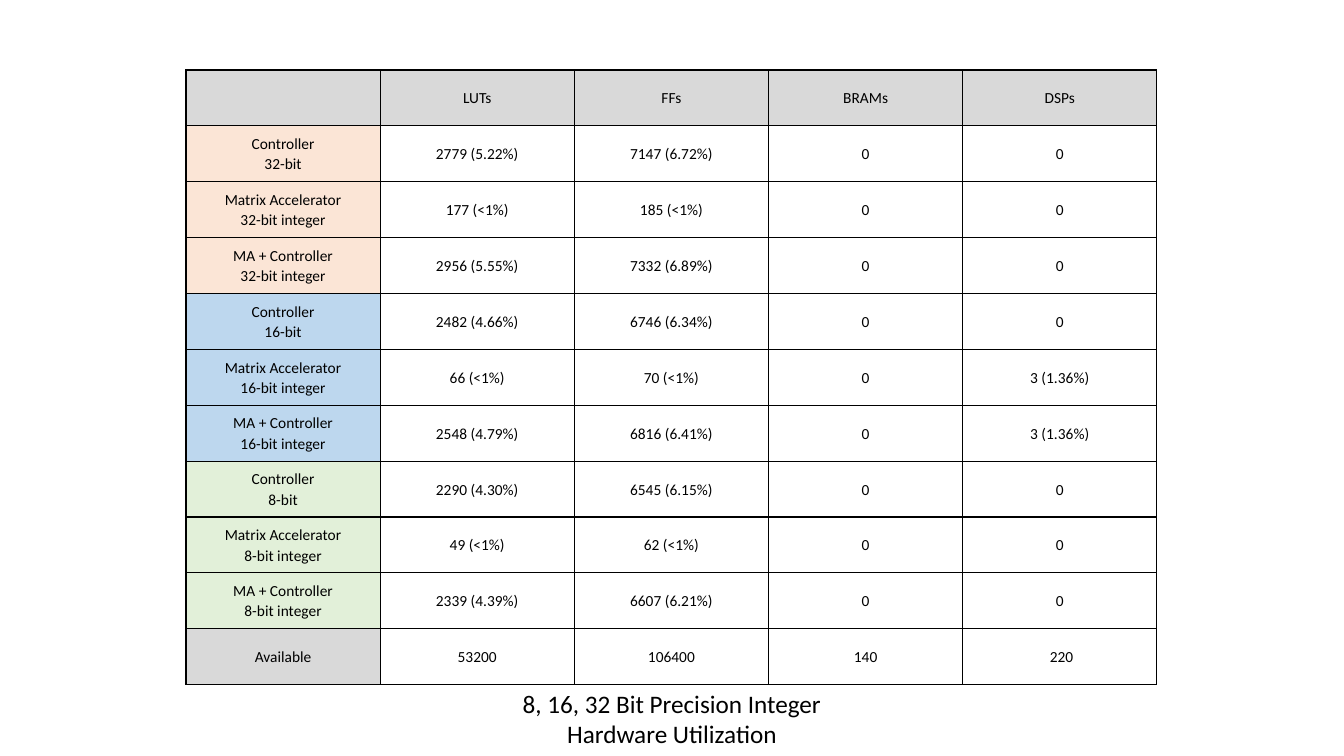
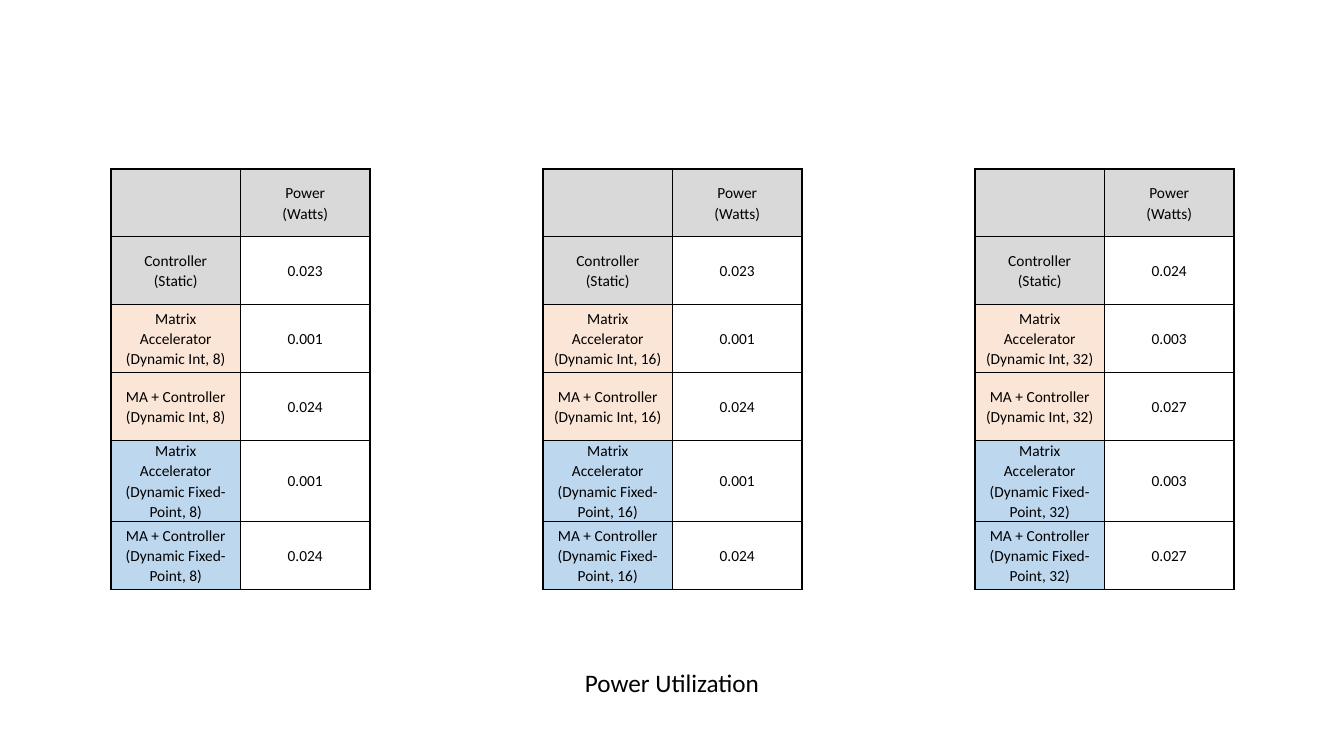
import pptx
import pptx.util
import pptx.dml.color
import pptx.enum.text
import pptx.oxml
import pptx.oxml.ns

PX = 12192000 / 1344
THEME = {
    "font": "Calibri", "ink": "000000", "white": "FFFFFF", "gray": "D9D9D9",
    "peach": "FBE5D6", "blue": "BDD7EE", "green": "E2F0D9",
    "cell_size": 11, "caption_size": 18, "cell_spacing": 1.07, "border": 1,
}


def write(tf, text, size, spacing):
    for i, line in enumerate(text.split("\n")):
        p = tf.paragraphs[0] if i == 0 else tf.add_paragraph()
        p.alignment = pptx.enum.text.PP_ALIGN.CENTER
        p.line_spacing = spacing
        r = p.add_run()
        r.text = line
        r.font.name = THEME["font"]
        r.font.size = pptx.util.Pt(size)
        r.font.color.rgb = pptx.dml.color.RGBColor.from_string(THEME["ink"])


def add_grid(s, box, header, rows):
    left, top, width, height = [round(v * PX) for v in box]
    table = s.shapes.add_table(len(rows) + 1, len(header), left, top, width, height).table
    table.first_row = False
    table.horz_banding = False
    for y, (color, *texts) in enumerate([("gray", *header), *rows]):
        for x, text in enumerate(texts):
            cell = table.cell(y, x)
            cell.vertical_anchor = pptx.enum.text.MSO_ANCHOR.MIDDLE
            cell.margin_left = cell.margin_right = round(7 * PX)
            cell.margin_top = cell.margin_bottom = 0
            for side in "LRTB":
                cell._tc.get_or_add_tcPr().append(pptx.oxml.parse_xml(
                    f'<a:ln{side} {pptx.oxml.ns.nsdecls("a")} w="{pptx.util.Pt(THEME["border"])}">'
                    f'<a:solidFill><a:srgbClr val="{THEME["ink"]}"/></a:solidFill></a:ln{side}>'))
            cell.fill.solid()
            fill = THEME[color if x == 0 or y == 0 else "white"]
            cell.fill.fore_color.rgb = pptx.dml.color.RGBColor.from_string(fill)
            if text:
                write(cell.text_frame, text, THEME["cell_size"], THEME["cell_spacing"])


prs = pptx.Presentation()
prs.slide_width = round(1344 * PX)
prs.slide_height = round(756 * PX)

captions = [
    ("8, 16, 32 Bit Precision Integer\nHardware Utilization", (501, 683, 342, 72)),
    ("Power Utilization", (518, 662, 308, 40)),
]
for caption, box in captions:
    s = prs.slides.add_slide(prs.slide_layouts[5])
    sp = s.shapes.title
    sp.left, sp.top, sp.width, sp.height = [round(v * PX) for v in box]
    tf = sp.text_frame
    tf.word_wrap = True
    tf.auto_size = pptx.enum.text.MSO_AUTO_SIZE.NONE
    tf.vertical_anchor = pptx.enum.text.MSO_ANCHOR.TOP
    write(tf, caption, THEME["caption_size"], 1.0)

hardware, power = prs.slides

usage = [
    ("peach", 32, [("2779 (5.22%)", "7147 (6.72%)", "0", "0"),
                   ("177 (<1%)", "185 (<1%)", "0", "0"),
                   ("2956 (5.55%)", "7332 (6.89%)", "0", "0")]),
    ("blue", 16, [("2482 (4.66%)", "6746 (6.34%)", "0", "0"),
                  ("66 (<1%)", "70 (<1%)", "0", "3 (1.36%)"),
                  ("2548 (4.79%)", "6816 (6.41%)", "0", "3 (1.36%)")]),
    ("green", 8, [("2290 (4.30%)", "6545 (6.15%)", "0", "0"),
                  ("49 (<1%)", "62 (<1%)", "0", "0"),
                  ("2339 (4.39%)", "6607 (6.21%)", "0", "0")]),
]
labels = ["Controller\n{}-bit", "Matrix Accelerator\n{}-bit integer", "MA + Controller\n{}-bit integer"]
rows = [(color, label.format(bits), *values)
        for color, bits, block in usage
        for label, values in zip(labels, block)]
rows.append(("gray", "Available", "53200", "106400", "140", "\u00a0220"))
add_grid(hardware, (186, 70, 971, 615), ("", "LUTs", "FFs", "BRAMs", "DSPs"), rows)

watts = [
    (8, "0.023", "0.001", "0.024"),
    (16, "0.023", "0.001", "0.024"),
    (32, "0.024", "0.003", "0.027"),
]
for i, (bits, static, accelerator, total) in enumerate(watts):
    rows = [("gray", "Controller\n(Static)", static)]
    for color, kind in [("peach", "Int"), ("blue", "Fixed-Point")]:
        rows.append((color, f"Matrix Accelerator\n(Dynamic {kind}, {bits})", accelerator))
        rows.append((color, f"MA + Controller\n(Dynamic {kind}, {bits})", total))
    add_grid(power, (111 + 432 * i, 169, 259, 407), ("", "Power\n(Watts)"), rows)

prs.save("out.pptx")
